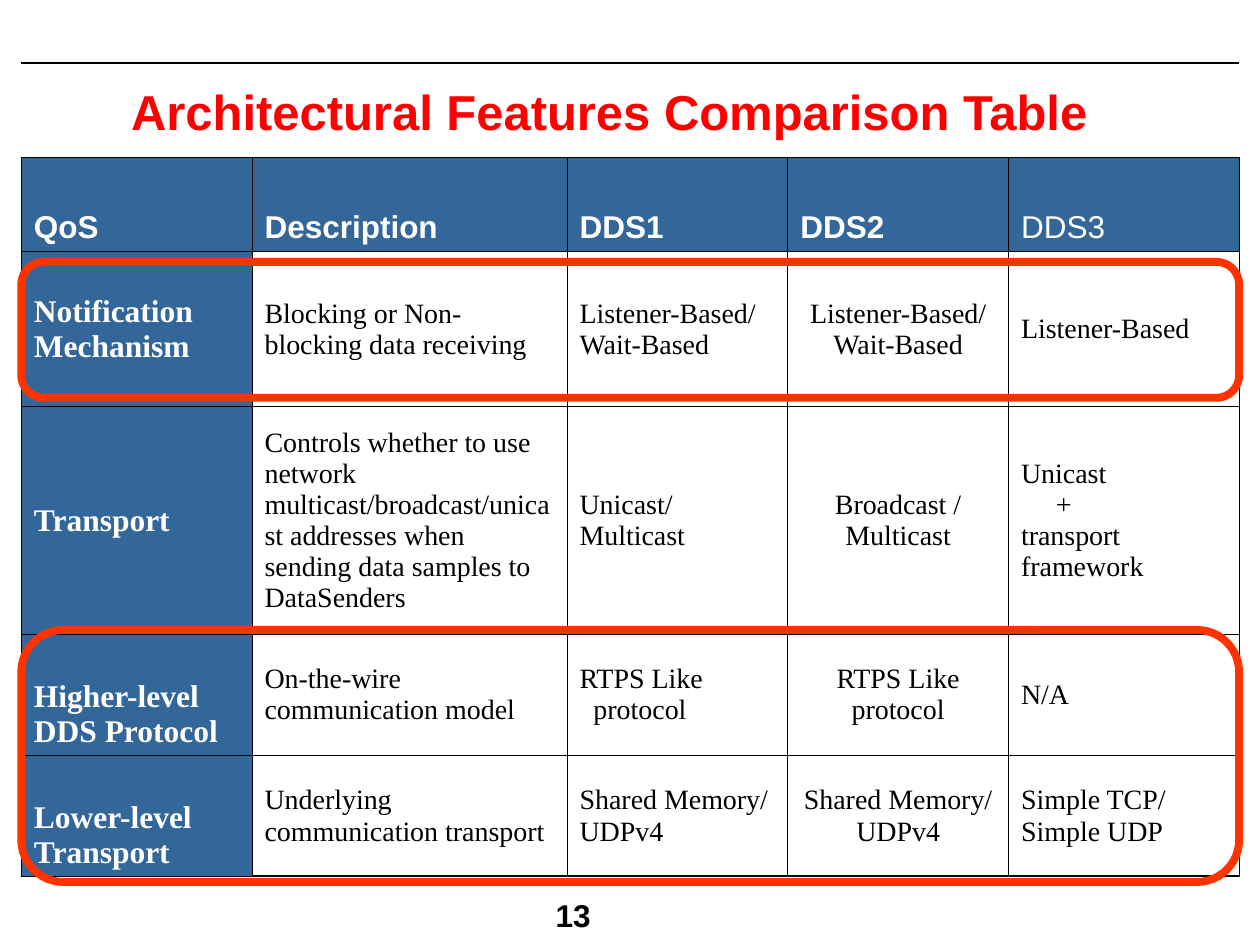
from lxml.etree import SubElement
from pptx import Presentation
from pptx.dml.color import RGBColor
from pptx.enum.shapes import MSO_CONNECTOR, MSO_SHAPE
from pptx.enum.text import MSO_ANCHOR as ANCHOR, PP_ALIGN as ALIGN
from pptx.oxml.ns import qn
from pptx.util import Cm, Pt

COLORS = {"black": "000000", "white": "FFFFFF", "title": "FF0000",
          "header": "336699", "highlight": "FF3300"}
SANS, SERIF = "Arial", "Times New Roman"
LEFT, RIGHT, TABLE_WIDTH = 0.43, 24.97, 24.55
COL_WIDTHS = [4.65, 6.35, 4.45, 4.45, 4.65]
ROW_HEIGHTS = [1.9, 3.13, 4.59, 2.44, 2.44]
CENTERED_COL = 3
BOTTOM_LABEL_ROWS = (3, 4)

# Each line of a cell is one paragraph.
ROWS = [
    ["QoS", "Description", "DDS1", "DDS2", "DDS3"],
    ["Notification Mechanism", "Blocking or Non-blocking data receiving",
     "Listener-Based/\nWait-Based", "Listener-Based/\nWait-Based",
     "Listener-Based"],
    ["Transport",
     "Controls whether to use network multicast/broadcast/unicast addresses "
     "when sending data samples to DataSenders",
     "Unicast/\nMulticast", "Broadcast / Multicast",
     "Unicast\n+\ntransport\nframework"],
    ["Higher-level DDS Protocol", "On-the-wire\ncommunication model",
     "RTPS Like\nprotocol", "RTPS Like protocol", "N/A"],
    ["Lower-level\nTransport", "Underlying communication transport",
     "Shared Memory/\nUDPv4", "Shared Memory/\nUDPv4",
     "Simple TCP/\nSimple UDP"],
]
# (row, column, paragraph): left indent in cm
INDENTS = {(2, 4, 1): 0.7, (3, 2, 1): 0.28}


def rgb(name):
    return RGBColor.from_string(COLORS[name])


def style_text(tf, size, font, color, bold=False, align=ALIGN.LEFT):
    for p in tf.paragraphs:
        p.alignment = align
        for r in p.runs:
            r.font.size = Pt(size)
            r.font.name = font
            r.font.bold = bold
            r.font.color.rgb = rgb(color)


def add_text(s, box, text, size, color, align):
    sp = s.shapes.add_textbox(*map(Cm, box))
    tf = sp.text_frame
    tf.word_wrap = True
    tf.vertical_anchor = ANCHOR.MIDDLE
    tf.text = text
    style_text(tf, size, SANS, color, True, align)
    return sp


def add_rule(s, y):
    line = s.shapes.add_connector(MSO_CONNECTOR.STRAIGHT, Cm(LEFT), Cm(y),
                                  Cm(RIGHT), Cm(y))
    line.line.color.rgb = rgb("black")
    line.line.width = Pt(0.75)
    SubElement(line._element.spPr, qn("a:effectLst"))


def add_highlight(s, top, height):
    sp = s.shapes.add_shape(MSO_SHAPE.ROUNDED_RECTANGLE, Cm(LEFT), Cm(top),
                            Cm(TABLE_WIDTH), Cm(height))
    sp.shadow.inherit = False
    sp.fill.background()
    sp.line.color.rgb = rgb("highlight")
    sp.line.width = Pt(4.5)


def fill_cell(cell, color=None):
    """Draw thin borders, then the fill, in the order the schema needs."""
    tc_pr = cell._tc.get_or_add_tcPr()
    for side in ("a:lnL", "a:lnR", "a:lnT", "a:lnB"):
        ln = SubElement(tc_pr, qn(side), w=str(Pt(0.45)))
        solid = SubElement(ln, qn("a:solidFill"))
        SubElement(solid, qn("a:srgbClr"), val=COLORS["black"])
    if color:
        cell.fill.solid()
        cell.fill.fore_color.rgb = rgb(color)
    else:
        cell.fill.background()


def write_cell(cell, row, col, text):
    tf = cell.text_frame
    tf.text = text
    is_header, is_label = row == 0, col == 0
    at_bottom = is_header or (is_label and row in BOTTOM_LABEL_ROWS)
    cell.vertical_anchor = ANCHOR.BOTTOM if at_bottom else ANCHOR.MIDDLE
    if is_header:
        style_text(tf, 18, SANS, "white", bold=col < len(COL_WIDTHS) - 1)
    elif is_label:
        style_text(tf, 18, SERIF, "white", bold=True)
    else:
        align = ALIGN.CENTER if col == CENTERED_COL else ALIGN.LEFT
        style_text(tf, 16, SERIF, "black", align=align)
    for i, p in enumerate(tf.paragraphs):
        if (row, col, i) in INDENTS:
            p._p.get_or_add_pPr().set("marL", str(Cm(INDENTS[row, col, i])))
    fill_cell(cell, "header" if is_header or is_label else None)


def add_comparison_table(s):
    frame = s.shapes.add_table(len(ROWS), len(COL_WIDTHS), Cm(LEFT), Cm(3.17),
                               Cm(TABLE_WIDTH), Cm(sum(ROW_HEIGHTS)))
    table = frame.table
    for column, width in zip(table.columns, COL_WIDTHS):
        column.width = Cm(width)
    for row, height in zip(table.rows, ROW_HEIGHTS):
        row.height = Cm(height)
    for i, texts in enumerate(ROWS):
        for j, text in enumerate(texts):
            write_cell(table.cell(i, j), i, j, text)


def main():
    prs = Presentation()
    prs.slide_width, prs.slide_height = Cm(25.4), Cm(19.05)
    s = prs.slides.add_slide(prs.slide_layouts[6])
    for y in (1.27, 17.65):
        add_rule(s, y)
    number = add_text(s, (10.95, 17.93, 3.58, 1.02), "13", 18, "black",
                      ALIGN.LEFT)
    number.fill.solid()
    number.fill.fore_color.rgb = rgb("white")
    add_text(s, (0, 1.7, 24.56, 1.07),
             "Architectural Features Comparison Table", 28, "title",
             ALIGN.CENTER)
    add_comparison_table(s)
    add_highlight(s, 12.7, 5.08)
    add_highlight(s, 5.28, 2.74)
    prs.save("out.pptx")


if __name__ == "__main__":
    main()
